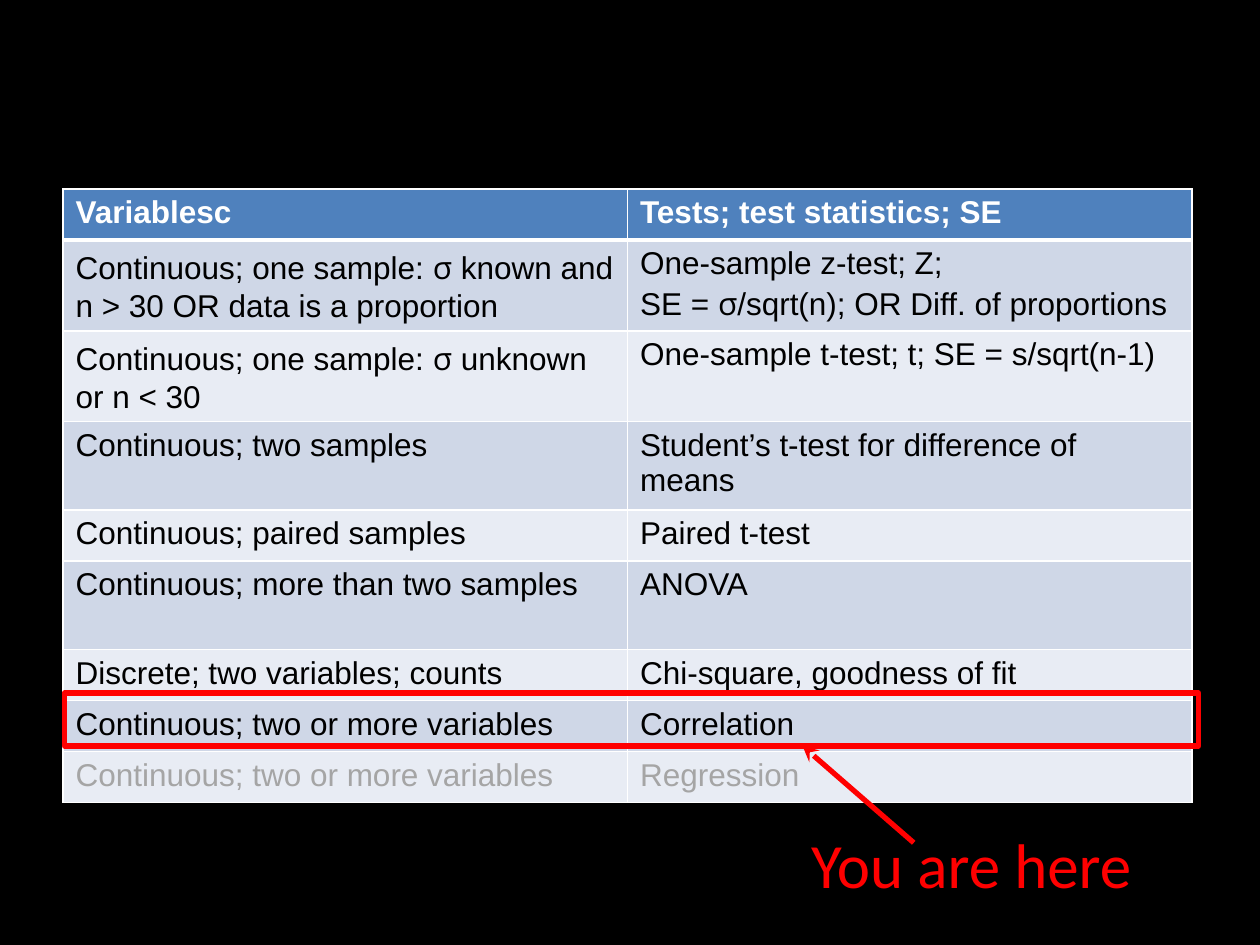
from lxml.etree import SubElement
from pptx import Presentation
from pptx.dml.color import RGBColor
from pptx.enum.shapes import MSO_CONNECTOR, MSO_SHAPE
from pptx.oxml.ns import qn
from pptx.util import Cm, Pt

COLOURS = {
    "background": "000000", "header": "4F81BD", "dark_band": "CFD7E7",
    "light_band": "E8ECF4", "border": "FFFFFF", "header_text": "FFFFFF",
    "text": "000000", "faded": "A5A5A5", "highlight": "FF0000",
}
SIGMA = "σ"
SHORT, TALL = 1.03, 1.78
ROWS = [
    (SHORT, "Variablesc", "Tests; test statistics; SE"),
    (TALL, "Continuous; one sample: σ known and n > 30 OR data is a proportion",
     "One-sample z-test; Z;\nSE = σ/sqrt(n); OR Diff. of proportions"),
    (TALL, "Continuous; one sample: σ unknown or n < 30",
     "One-sample t-test; t; SE = s/sqrt(n-1)"),
    (TALL, "Continuous; two samples", "Student’s t-test for difference of means"),
    (SHORT, "Continuous; paired samples", "Paired t-test"),
    (TALL, "Continuous; more than two samples", "ANOVA"),
    (SHORT, "Discrete; two variables; counts", "Chi-square, goodness of fit"),
    (SHORT, "Continuous; two or more variables", "Correlation"),
    (SHORT, "Continuous; two or more variables", "Regression"),
]


def colour(name):
    return RGBColor.from_string(COLOURS[name])


class SlideBuilder:
    def __init__(self, slide):
        self.slide = slide
        self.line_width = Pt(3)
        fill = slide.background.fill
        fill.solid()
        fill.fore_color.rgb = colour("background")

    def style_font(self, font, name, size, colour_name, bold=False):
        font.name, font.size, font.bold = name, Pt(size), bold
        font.color.rgb = colour(colour_name)

    def style_line(self, line):
        line.color.rgb = colour("highlight")
        line.width = self.line_width

    def border(self, cell, bottom_width):
        properties = cell._tc.get_or_add_tcPr()
        for side, width in zip("LRTB", (1, 1, 1, bottom_width)):
            line = SubElement(properties, qn(f"a:ln{side}"), w=str(Pt(width)))
            fill = SubElement(line, qn("a:solidFill"))
            SubElement(fill, qn("a:srgbClr"), val=COLOURS["border"])

    def cell(self, cell, text, fill_name, text_name, header):
        """Fill one cell; the Greek letter gets a run in its own font."""
        self.border(cell, 3 if header else 1)
        cell.fill.solid()
        cell.fill.fore_color.rgb = colour(fill_name)
        cell.text_frame.text = text
        for paragraph in cell.text_frame.paragraphs:
            parts = paragraph.text.partition(SIGMA)
            paragraph.clear()
            for part in filter(None, parts):
                run = paragraph.add_run()
                run.text = part
                font_name = "Open Sans" if part == SIGMA else "Arial"
                self.style_font(run.font, font_name, 18, text_name, header)

    def table(self, left, top, column_width, rows):
        height = sum(row[0] for row in rows)
        table = self.slide.shapes.add_table(
            len(rows), 2, Cm(left), Cm(top), Cm(2 * column_width), Cm(height)).table
        for column in table.columns:
            column.width = Cm(column_width)
        for index, (row_height, *texts) in enumerate(rows):
            table.rows[index].height = Cm(row_height)
            header = index == 0
            fill_name = "header" if header else ("light_band", "dark_band")[index % 2]
            text_name = "header_text" if header else "text"
            if index == len(rows) - 1:
                text_name = "faded"
            for column_index, text in enumerate(texts):
                self.cell(table.cell(index, column_index), text,
                          fill_name, text_name, header)

    def frame(self, left, top, width, height):
        shape = self.slide.shapes.add_shape(
            MSO_SHAPE.RECTANGLE, Cm(left), Cm(top), Cm(width), Cm(height))
        shape.shadow.inherit = False
        shape.fill.background()
        self.style_line(shape.line)

    def arrow(self, start, end):
        connector = self.slide.shapes.add_connector(
            MSO_CONNECTOR.STRAIGHT, *map(Cm, start + end))
        self.style_line(connector.line)
        SubElement(connector.line._get_or_add_ln(), qn("a:tailEnd"), type="stealth")
        SubElement(connector._element.spPr, qn("a:effectLst"))

    def label(self, left, top, width, height, text):
        shape = self.slide.shapes.add_textbox(Cm(left), Cm(top), Cm(width), Cm(height))
        text_frame = shape.text_frame
        text_frame.word_wrap = True
        text_frame.text = text
        self.style_font(text_frame.paragraphs[0].runs[0].font,
                        "Calibri", 36, "highlight")


def main():
    presentation = Presentation()
    presentation.slide_width, presentation.slide_height = Cm(25.4), Cm(19.05)
    builder = SlideBuilder(presentation.slides.add_slide(presentation.slide_layouts[6]))
    builder.table(1.27, 3.81, 11.38, ROWS)
    builder.frame(1.3, 13.97, 22.86, 1.07)
    builder.arrow((18.42, 16.99), (16.18, 15.04))
    builder.label(16.1, 16.51, 8.05, 1.8, "You are here")
    presentation.save("out.pptx")


if __name__ == "__main__":
    main()
